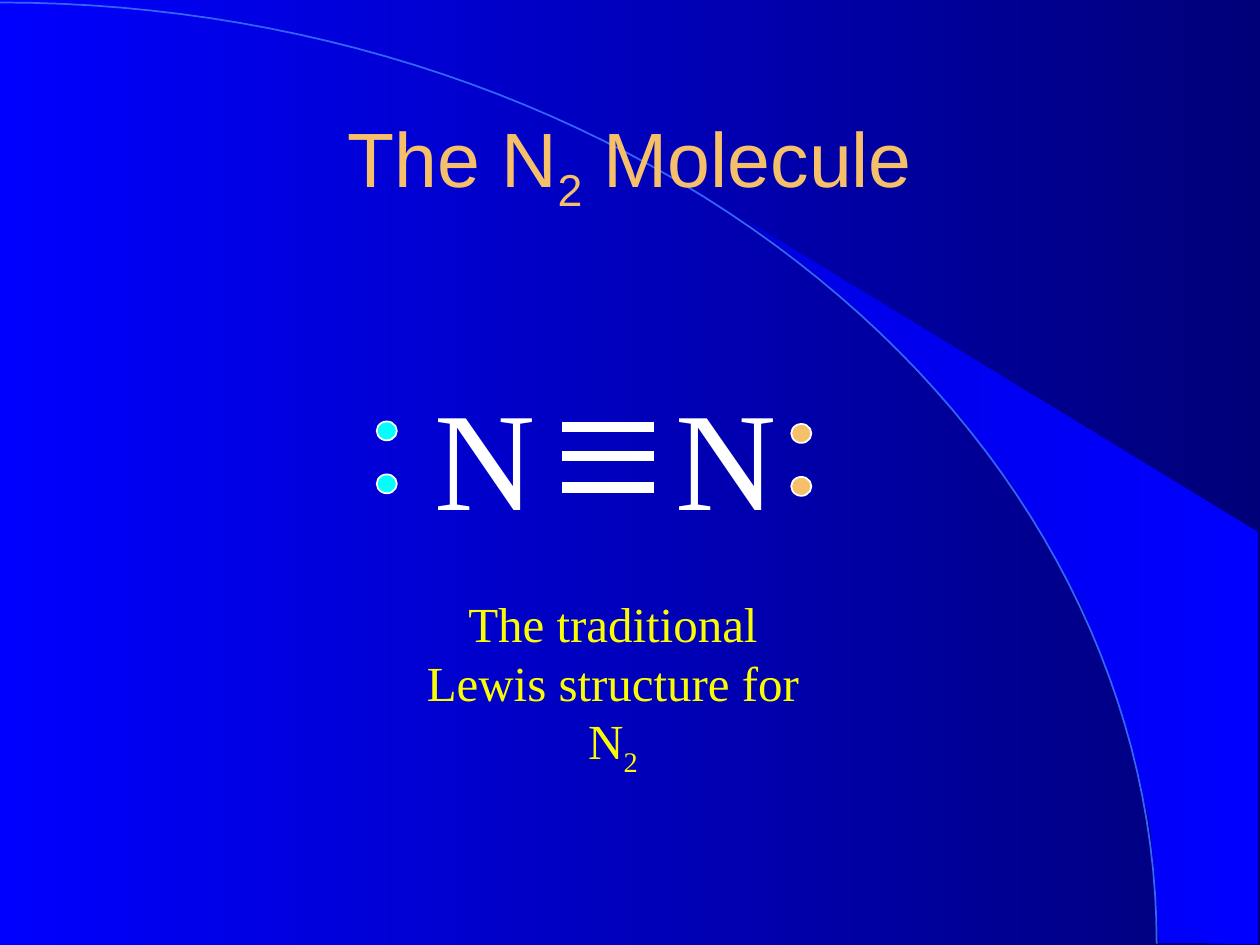
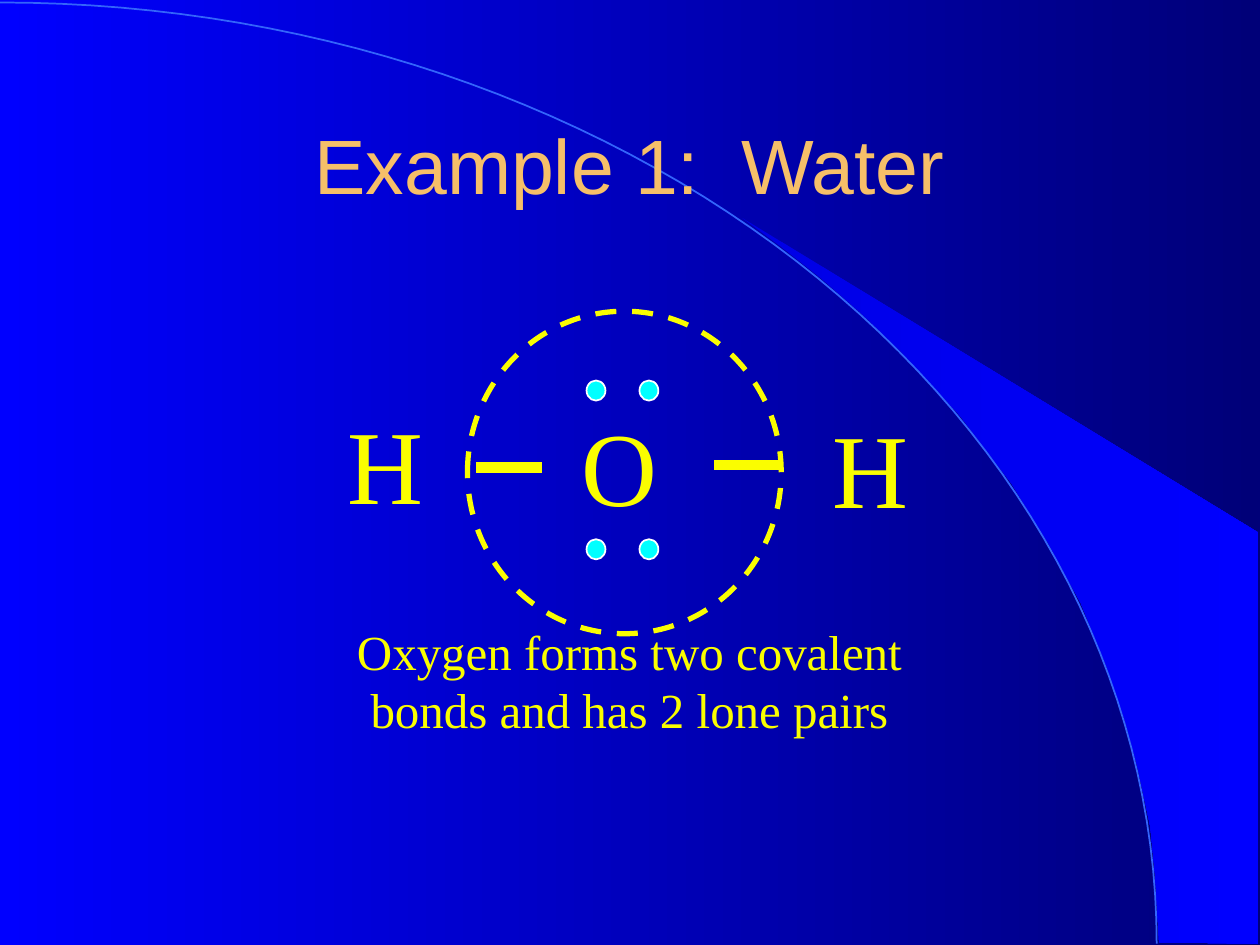
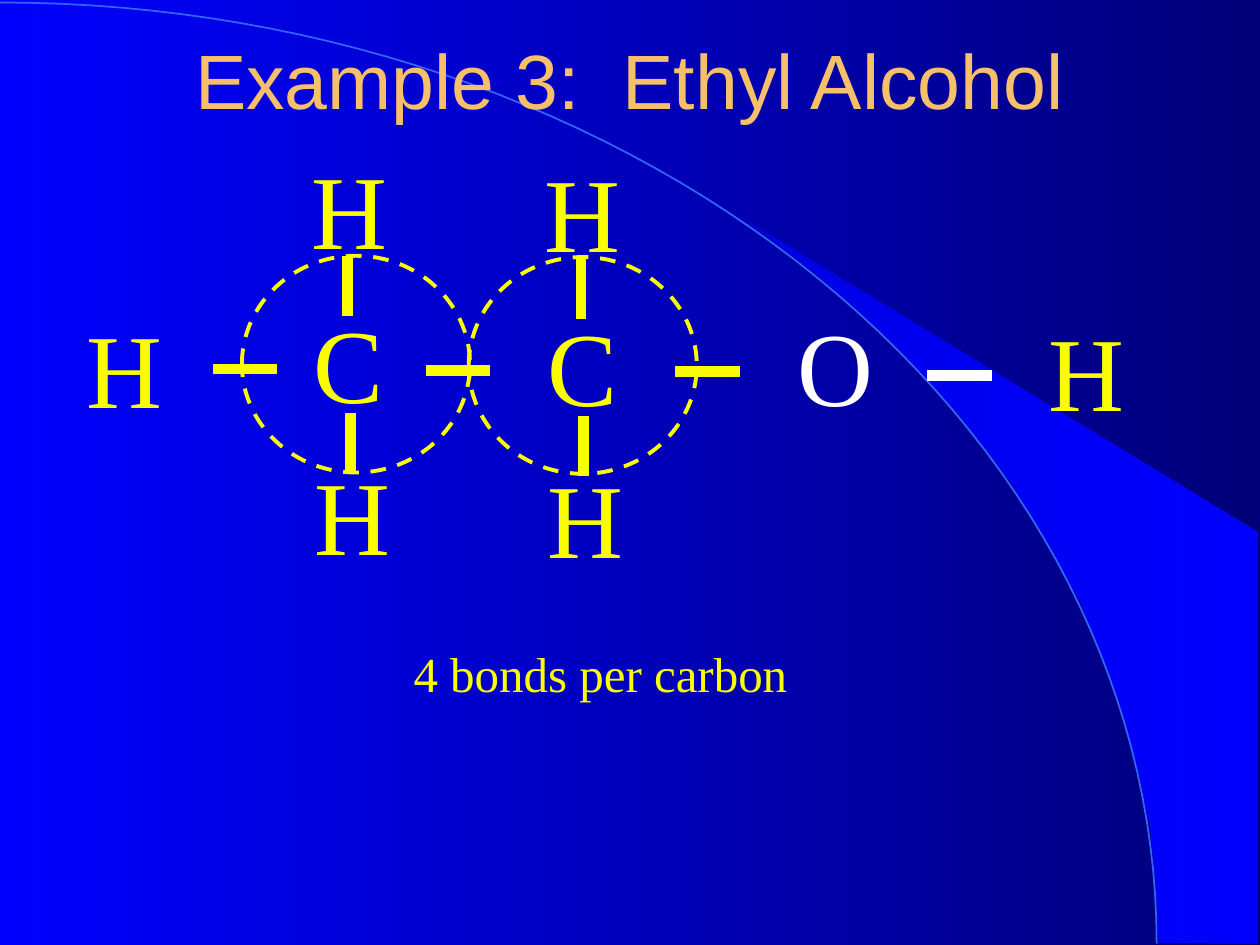
import math
from dataclasses import dataclass

import pptx
import pptx.dml.color
import pptx.enum.dml
import pptx.enum.shapes
import pptx.enum.text
import pptx.oxml.ns
import pptx.util
from lxml import etree
from pptx.util import Inches


def rgb(value):
    return pptx.dml.color.RGBColor.from_string(value)


@dataclass(frozen=True)
class Theme:
    backdrop = (rgb("0000FF"), rgb("000078"))
    wedge = (rgb("0000E5"), rgb("0000FF"))
    arc = rgb("3365FB")
    gold = rgb("F6BF69")
    yellow = rgb("FAFD00")
    white = rgb("FFFFFF")
    cyan = rgb("00FFFF")
    title_font = "Arial"
    body_font = "Times New Roman"
    title_size = 44
    caption_size = 28
    atom_size = 60
    large_atom_size = 80


THEME = Theme()
SLIDE_WIDTH, SLIDE_HEIGHT = 10, 7.5
WEDGE_OUTLINE = [
    (9.2, 7.48), (9.99, 7.49), (9.99, 4.23), (5.89, 1.73), (6.24, 1.99),
    (6.53, 2.22), (6.85, 2.5), (7.16, 2.8), (7.62, 3.3), (8.03, 3.84),
    (8.32, 4.31), (8.58, 4.79), (8.78, 5.28), (8.93, 5.72), (9.03, 6.09),
    (9.13, 6.56), (9.17, 6.96),
]


def set_gradient(fill, colours):
    fill.gradient()
    fill.gradient_angle = 0
    for stop, colour in zip(fill.gradient_stops, colours):
        stop.color.rgb = colour


def add_outline(slide, points, close):
    corners = [(Inches(x), Inches(y)) for x, y in points]
    builder = slide.shapes.build_freeform(*corners[0], scale=1.0)
    builder.add_line_segments(corners[1:], close=close)
    outline = builder.convert_to_shape()
    outline.shadow.inherit = False
    return outline


def add_sweep(slide):
    """Draw the bright wedge and the quarter-ellipse arc beside it."""
    wedge = add_outline(slide, WEDGE_OUTLINE, close=True)
    set_gradient(wedge.fill, THEME.wedge)
    wedge.line.fill.background()

    steps = 60
    angles = [math.pi / 2 * step / steps for step in range(steps + 1)]
    curve = [(9.18 * math.sin(a), 7.49 - 7.47 * math.cos(a)) for a in angles]
    arc = add_outline(slide, curve, close=False)
    arc.fill.background()
    arc.line.color.rgb = THEME.arc
    arc.line.width = pptx.util.Pt(1)


def add_text(slide, text, left, top, width, height, size, colour, font=THEME.body_font):
    """Add centred text; the part after each "_" starts with a subscript digit."""
    box = slide.shapes.add_textbox(Inches(left), Inches(top), Inches(width), Inches(height))
    frame = box.text_frame
    frame.word_wrap = True
    paragraph = frame.paragraphs[0]
    paragraph.alignment = pptx.enum.text.PP_ALIGN.CENTER
    plain, *marked = text.split("_")
    paragraph.add_run().text = plain
    for part in marked:
        subscript = paragraph.add_run()
        subscript.text = part[0]
        subscript.font._element.set("baseline", "-25000")
        if part[1:]:
            paragraph.add_run().text = part[1:]
    paragraph.font.size = pptx.util.Pt(size)
    paragraph.font.name = font
    paragraph.font.color.rgb = colour
    return frame


def add_title(slide, text, top):
    frame = add_text(slide, text, 0.75, top, 8.5, 1.25, THEME.title_size,
                     THEME.gold, THEME.title_font)
    frame.vertical_anchor = pptx.enum.text.MSO_ANCHOR.MIDDLE


def add_caption(slide, text, left, top, width, height):
    add_text(slide, text, left, top, width, height, THEME.caption_size, THEME.yellow)


def add_atom(slide, symbol, x, y, colour=THEME.yellow, size=THEME.atom_size):
    """Centre an element symbol on (x, y)."""
    width, height = 1.1, 0.1 + 1.2 * size / 72
    add_text(slide, symbol, x - width / 2, y - height / 2, width, height, size, colour)


def add_bond(slide, x, y, across=0.0, down=0.0, colour=THEME.yellow):
    bond = slide.shapes.add_connector(
        pptx.enum.shapes.MSO_CONNECTOR.STRAIGHT,
        Inches(x), Inches(y), Inches(x + across), Inches(y + down))
    bond.line.color.rgb = colour
    bond.line.width = pptx.util.Pt(6)
    etree.SubElement(bond._element.spPr, pptx.oxml.ns.qn("a:effectLst"))


def add_oval(slide, left, top, width, height, line_colour, line_width):
    oval = slide.shapes.add_shape(
        pptx.enum.shapes.MSO_SHAPE.OVAL,
        Inches(left), Inches(top), Inches(width), Inches(height))
    oval.shadow.inherit = False
    oval.line.color.rgb = line_colour
    oval.line.width = pptx.util.Pt(line_width)
    return oval


def add_lone_pair(slide, x, y, across=0.0, down=0.0, colour=THEME.cyan):
    """Centre one electron on (x, y) and its partner at the given distance."""
    width, height = (0.16, 0.15) if down else (0.15, 0.16)
    for step in range(2):
        electron = add_oval(slide, x + step * across - width / 2,
                            y + step * down - height / 2,
                            width, height, THEME.white, 1)
        electron.fill.solid()
        electron.fill.fore_color.rgb = colour


def add_shell(slide, left, top, width, height, line_width):
    shell = add_oval(slide, left, top, width, height, THEME.yellow, line_width)
    shell.fill.background()
    shell.line.dash_style = pptx.enum.dml.MSO_LINE.DASH


def draw_nitrogen(slide, left, top):
    for x in (0.85, 2.76):
        add_atom(slide, "N", left + x, top + 0.72, THEME.white, THEME.large_atom_size)
    for y in (0.5, 0.73, 0.98):
        add_bond(slide, left + 1.46, top + y, across=0.73, colour=THEME.white)
    add_lone_pair(slide, left + 0.07, top + 0.53, down=0.42)
    add_lone_pair(slide, left + 3.36, top + 0.55, down=0.42, colour=THEME.gold)


def draw_water(slide, left, top):
    """Draw water from the top left corner of the oxygen shell."""
    for symbol, x, y in (("H", -0.65, 1.2), ("O", 1.21, 1.22), ("H", 3.2, 1.23)):
        add_atom(slide, symbol, left + x, top + y)
    for x, y in ((0.07, 1.24), (1.96, 1.22)):
        add_bond(slide, left + x, top + y, across=0.52)
    add_shell(slide, left, top, 2.49, 2.56, 3)
    for y in (0.63, 1.89):
        add_lone_pair(slide, left + 1.02, top + y, across=0.42)


def draw_carbon_column(slide, x, top):
    """Draw a carbon with a hydrogen above and below, from the upper bond's start."""
    add_atom(slide, "H", x, top - 0.38)
    add_bond(slide, x - 0.01, top, down=0.48)
    add_atom(slide, "C", x, top + 0.84)
    add_bond(slide, x + 0.01, top + 1.25, down=0.48)
    add_atom(slide, "H", x + 0.03, top + 2.05)


def draw_ethanol(slide, left, top):
    for column in range(2):
        draw_carbon_column(slide, left + 2.33 + 1.85 * column, top + 0.93 + 0.02 * column)
        add_shell(slide, left + 1.48 + 1.8 * column, top + 0.93 + 0.01 * column,
                  1.81, 1.72, 2.25)
    add_atom(slide, "H", left + 0.55, top + 1.81)
    add_atom(slide, "O", left + 6.19, top + 1.79, THEME.white)
    add_atom(slide, "H", left + 8.18, top + 1.83)
    for x, y, colour in ((1.25, 1.83, THEME.yellow), (2.94, 1.84, THEME.yellow),
                         (4.92, 1.85, THEME.yellow), (6.92, 1.88, THEME.white)):
        add_bond(slide, left + x, top + y, across=0.51, colour=colour)


def add_molecule_slide(deck, title, title_top, draw_molecule, origin, caption, caption_box):
    slide = deck.slides.add_slide(deck.slide_layouts[6])
    add_sweep(slide)
    add_title(slide, title, title_top)
    draw_molecule(slide, *origin)
    add_caption(slide, caption, *caption_box)


def main():
    deck = pptx.Presentation()
    deck.slide_width = Inches(SLIDE_WIDTH)
    deck.slide_height = Inches(SLIDE_HEIGHT)
    set_gradient(deck.slide_master.background.fill, THEME.backdrop)

    add_molecule_slide(deck, "The N_2 Molecule", 0.67, draw_nitrogen, (3, 2.89),
                       "The traditional Lewis structure for N_2", (3.2, 4.66, 3.33, 1.5))
    add_molecule_slide(deck, "Example 1:  Water", 0.67, draw_water, (3.71, 2.47),
                       "Oxygen forms two covalent bonds and has 2 lone pairs",
                       (2.27, 4.88, 5.45, 1.03))
    add_molecule_slide(deck, "Example 3:  Ethyl Alcohol", 0, draw_ethanol, (0.44, 1.1),
                       "4 bonds per carbon", (2.72, 5.06, 4.09, 0.57))
    deck.save("out.pptx")


if __name__ == "__main__":
    main()
